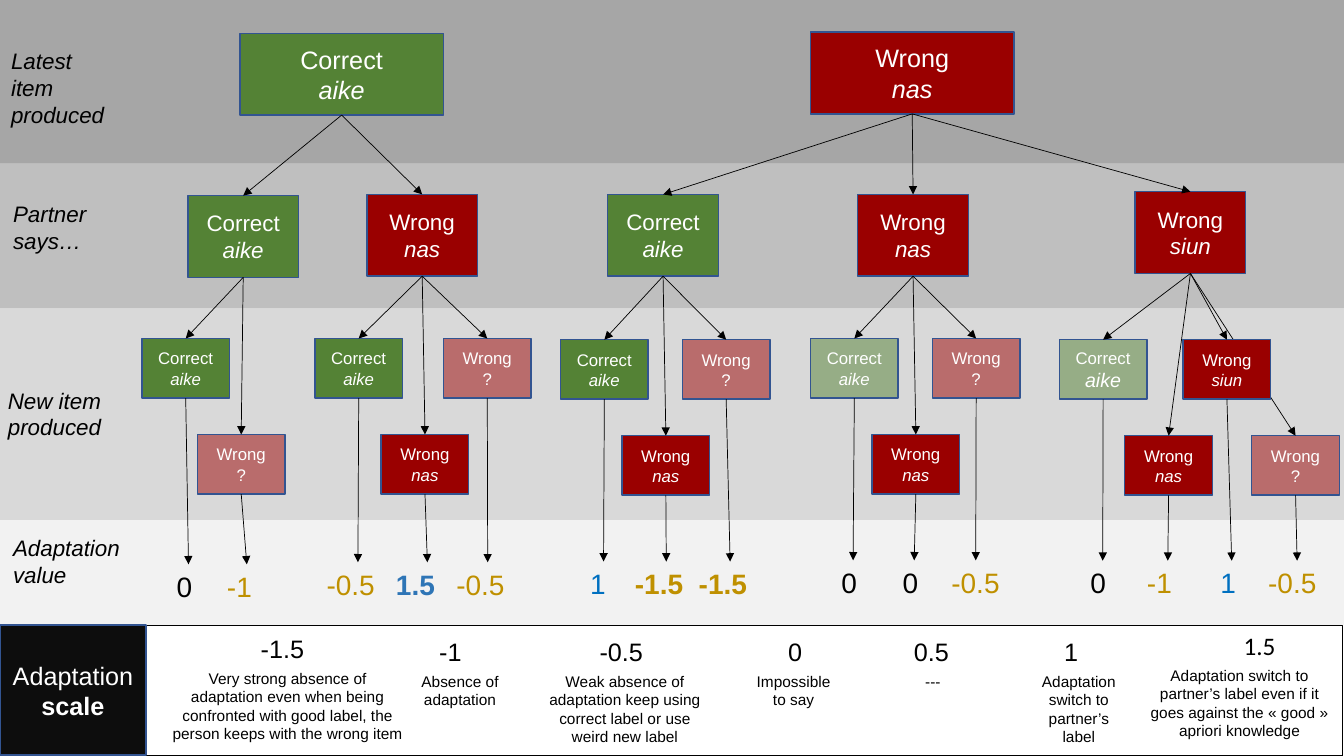
from lxml.etree import SubElement
from pptx import Presentation
from pptx.dml.color import RGBColor as RGB
from pptx.enum.shapes import MSO_CONNECTOR as CONN, MSO_SHAPE as SHAPE
from pptx.enum.text import MSO_ANCHOR as ANCHOR, MSO_AUTO_SIZE as FIT, PP_ALIGN as ALIGN
from pptx.oxml.ns import qn
from pptx.util import Cm, Pt

C = {
    "Correct": "548235", "Wrong": "9A0000", "edge": "325491",
    "black": "000000", "white": "FFFFFF", "ink": "0D0D0D",
    "gold": "BF9000", "blue": "0070C0", "steel": "2E75B6",
    "band1": "A6A6A6", "band2": "BFBFBF", "band3": "D9D9D9", "band4": "F2F2F2",
}
SLIDE_W, SLIDE_H = 33.87, 19.05
BOTTOM, TOP = 2, 0  # connection sites

# Label bands: top, height, colour, label, label left, label drop, label width
BANDS = [
    (13.08, 2.67, "band4", "Adaptation value", 0.08, 0.25, 3.43),
    (7.77, 5.33, "band3", "New item produced", -0.05, 1.85, 3.07),
    (4.04, 3.73, "band2", "Partner\nsays…", 0.08, 0.89, 3.07),
    (0, 4.11, "band1", "Latest item produced", 0.03, 1.07, 3.07),
]

# Box sizes and text sizes for the three levels of the trees
LEVELS = {"latest": (5.13, 2.06, 18), "partner": (2.79, 2.06, 16), "new": (2.21, 1.5, 12)}
LOWER_ROW = 2.42

# Tree: verdict, word, centre, top, partners
# Partner: verdict, word, centre, top, top of new items, top of values, new items
# New item: verdict, word, faded, row, offset from partner, value, value centre, value width
TREES = [
    ("Correct", "aike", 8.61, 0.84, [
        ("Correct", "aike", 6.13, 4.93, 8.53, 14.22, [
            ("Correct", "aike", False, 0, -1.45, "0", 4.75, 1.09),
            ("Wrong", "?", True, 1, -0.05, "-1", 6.22, 1.5)]),
        ("Wrong", "nas", 10.64, 4.9, 8.53, 14.17, [
            ("Correct", "aike", False, 0, -1.6, "-0.5", 9.02, 2.08),
            ("Wrong", "nas", False, 1, 0.07, "1.5", 10.77, 2.08),
            ("Wrong", "?", True, 0, 1.64, "-0.5", 12.29, 2.08)])]),
    ("Wrong", "nas", 22.99, 0.81, [
        ("Correct", "aike", 16.71, 4.9, 8.56, 14.15, [
            ("Correct", "aike", False, 0, -1.48, "1", 15.21, 1.17),
            ("Wrong", "nas", False, 1, 0.07, "-1.5", 16.79, 2.08),
            ("Wrong", "?", True, 0, 1.59, "-1.5", 18.4, 2.08)]),
        ("Wrong", "nas", 23.01, 4.9, 8.53, 14.12, [
            ("Correct", "aike", True, 0, -1.48, "0", 21.5, 1.09),
            ("Wrong", "nas", False, 1, 0.07, "0", 23.04, 1.09),
            ("Wrong", "?", True, 0, 1.59, "-0.5", 24.59, 1.73)]),
        ("Wrong", "siun", 30.0, 4.83, 8.56, 14.13, [
            ("Correct", "aike", True, 0, -2.2, "0", 27.79, 1.12),
            ("Wrong", "nas", False, 1, -0.55, "-1", 29.43, 1.55),
            ("Wrong", "?", True, 1, 2.65, "-0.5", 32.69, 1.96),
            ("Wrong", "siun", False, 0, 0.92, "1", 31.04, 1.07)])]),
]

# Scale: value, its left and drop, font, meaning, its left and width
SCALE = [
    ("-1.5", 6.32, 0.08, "Arial", "Very strong absence of adaptation even when being confronted "
     "with good label, the person keeps with the wrong item", 4.06, 6.38),
    ("-1", 10.82, 0.15, "Arial", "Absence of adaptation", 10.31, 2.57),
    ("-0.5", 14.86, 0.15, "Arial", "Weak absence of adaptation keep using correct label "
     "or use weird new label", 13.44, 4.62),
    ("0", 19.61, 0.15, "Arial", "Impossible to say", 18.64, 2.72),
    ("0.5", 22.78, 0.15, "Arial", "---", 22.15, 2.72),
    ("1", 26.57, 0.15, "Arial", "Adaptation switch to partner’s label", 25.83, 2.72),
    ("1.5", 31.09, 0, "Calibri", "Adaptation switch to partner’s label even if it goes against "
     "the « good » apriori knowledge", 28.65, 5.18),
]


def write(sp, paragraphs, align=ALIGN.LEFT, **base):
    """Fill a shape with paragraphs, each a list of (text, format changes)."""
    tf = sp.text_frame
    tf.word_wrap = True
    for i, runs in enumerate(paragraphs):
        p = tf.paragraphs[0] if i == 0 else tf.add_paragraph()
        p.alignment = align
        for text, changes in runs:
            r = p.add_run()
            r.text = text
            fmt = {"name": "Arial", "size": 18, "color": "black", **base, **changes}
            r.font.color.rgb = RGB.from_string(C[fmt.pop("color")])
            fmt["size"] = Pt(fmt["size"])
            for key, value in fmt.items():
                setattr(r.font, key, value)


def add_text(s, x, y, w, h, text, **fmt):
    sp = s.shapes.add_textbox(Cm(x), Cm(y), Cm(w), Cm(h))
    write(sp, [[(line, {})] for line in text.split("\n")], **fmt)
    sp.text_frame.auto_size = FIT.SHAPE_TO_FIT_TEXT
    return sp


def add_rect(s, x, y, w, h, fill=None, line=None, faded=False):
    sp = s.shapes.add_shape(SHAPE.RECTANGLE, Cm(x), Cm(y), Cm(w), Cm(h))
    sp.shadow.inherit = False
    if fill:
        sp.fill.solid()
        sp.fill.fore_color.rgb = RGB.from_string(C[fill])
    else:
        sp.fill.background()
    if faded:
        color = sp.fill._xPr.find(qn("a:solidFill"))[0]
        SubElement(color, qn("a:alpha"), val="50000")
    if line:
        sp.line.color.rgb = RGB.from_string(C[line])
        sp.line.width = Pt(1)
    else:
        sp.line.fill.background()
    sp.text_frame.vertical_anchor = ANCHOR.MIDDLE
    return sp


def add_arrow(s, start, end):
    cn = s.shapes.add_connector(CONN.STRAIGHT, 0, 0, 0, 0)
    cn.begin_connect(start, BOTTOM)
    cn.end_connect(end, TOP)
    cn.line.color.rgb = RGB.from_string(C["black"])
    cn.line.width = Pt(0.5)
    SubElement(cn.line._get_or_add_ln(), qn("a:tailEnd"), type="triangle")
    SubElement(cn._element.spPr, qn("a:effectLst"))


def add_node(s, level, verdict, word, cx, y, faded=False, word_size=None):
    w, h, size = LEVELS[level]
    sp = add_rect(s, cx - w / 2, y, w, h, verdict, "edge", faded)
    style = {"italic": word != "?", "size": word_size or size}
    write(sp, [[(verdict, {})], [(word, style)]], ALIGN.CENTER, size=size, color="white")
    return sp


def value_format(value):
    number = float(value)
    color = "gold" if number < 0 else {"0": "black", "1": "blue", "1.5": "steel"}[value]
    return {"size": 20, "color": color, "bold": abs(number) == 1.5}


def draw_bands(s, x, y, w):
    for top, h, fill, *_ in BANDS:
        add_rect(s, x, y + top, w, h, fill)
    for top, _, _, label, left, drop, width in BANDS:
        add_text(s, x + left, y + top + drop, width, 1.63, label, size=16, italic=True)


def draw_partner(s, x, y, partner):
    verdict, word, cx, top, new_top, value_top, items = partner
    node = add_node(s, "partner", verdict, word, x + cx, y + top)
    for kind, item, faded, row, dx, value, value_cx, value_w in items:
        # The faded word under "siun" is set a little larger
        bigger = 14 if word == "siun" and item == "aike" else None
        new = add_node(s, "new", kind, item, x + cx + dx, y + new_top + row * LOWER_ROW,
                       faded, bigger)
        add_arrow(s, node, new)
        result = add_text(s, x + value_cx - value_w / 2, y + value_top, value_w, 1.11,
                          value, **value_format(value))
        add_arrow(s, new, result)
    return node


def draw_tree(s, x, y, tree):
    verdict, word, cx, top, partners = tree
    latest = add_node(s, "latest", verdict, word, x + cx, y + top)
    for partner in partners:
        add_arrow(s, latest, draw_partner(s, x, y, partner))


def draw_scale(s, x, y, w, h):
    add_rect(s, x, y + 0.02, w, h, line="black")
    for value, left, drop, font, meaning, text_left, text_w in SCALE:
        add_text(s, x + left, y + drop, 2.57, 1.03, value, name=font)
        add_text(s, x + text_left, y + drop + 0.9, text_w, 0.73, meaning,
                 align=ALIGN.CENTER, size=11)
    title = add_rect(s, x, y, 3.68, h, "ink", "edge")
    write(title, [[("Adaptation ", {}), ("scale", {"bold": True})]], ALIGN.CENTER, color="white")


def main():
    prs = Presentation()
    prs.slide_width, prs.slide_height = Cm(SLIDE_W), Cm(SLIDE_H)
    s = prs.slides.add_slide(prs.slide_layouts[6])
    draw_bands(s, 0, 0, SLIDE_W)
    for tree in TREES:
        draw_tree(s, 0, 0, tree)
    draw_scale(s, 0, 15.75, 33.83, 3.28)
    prs.save("out.pptx")


if __name__ == "__main__":
    main()
